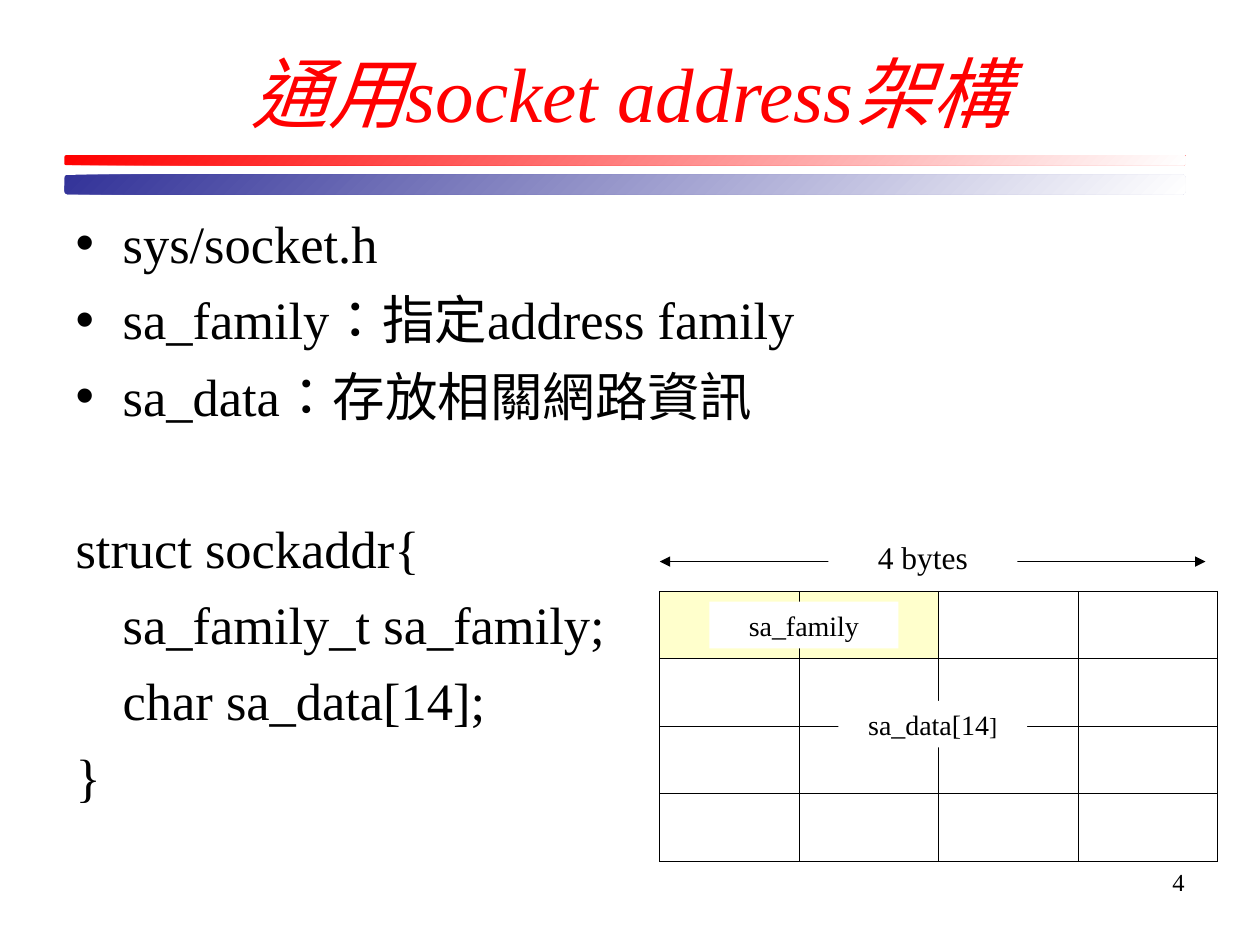
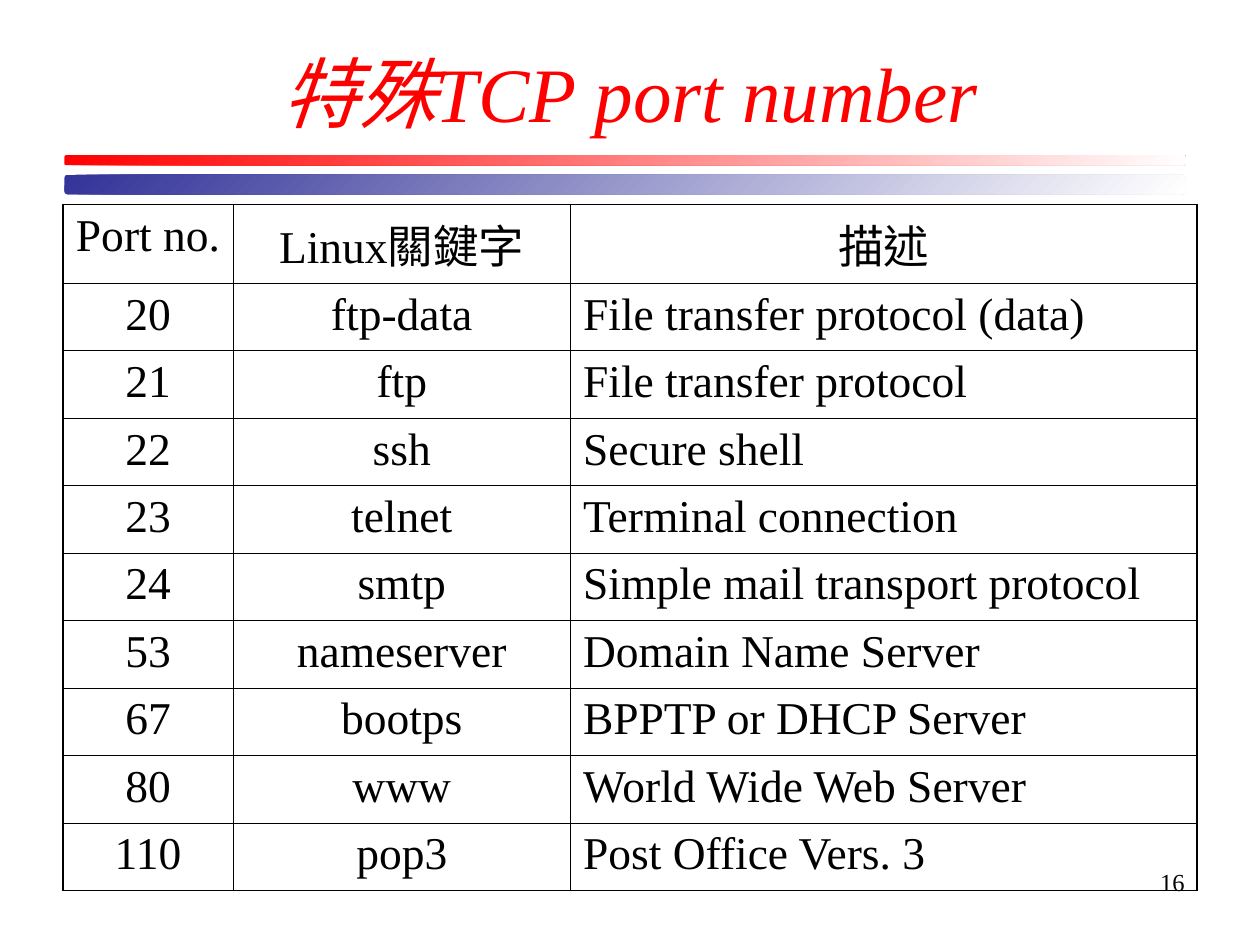
import pptx
import pptx.dml.color
import pptx.enum.shapes
import pptx.enum.text
import pptx.oxml
import pptx.oxml.ns
import pptx.util

Cm = pptx.util.Cm
Pt = pptx.util.Pt
RGBColor = pptx.dml.color.RGBColor
ALIGN = pptx.enum.text.PP_ALIGN
ANCHOR = pptx.enum.text.MSO_ANCHOR
SHAPE = pptx.enum.shapes.MSO_SHAPE

FONT = "Times New Roman"
LANGUAGE = "zh-TW"
RED = RGBColor(0xFF, 0x00, 0x00)
BLUE = RGBColor(0x33, 0x33, 0x99)
BLACK = RGBColor(0x00, 0x00, 0x00)
WHITE = RGBColor(0xFF, 0xFF, 0xFF)
CREAM = RGBColor(0xFF, 0xFF, 0xCC)

TITLE_BOX = (1.27, 0.76, 22.86, 2.16)
BODY_BOX = (1.27, 4.11, 22.86, 12.9)
NUMBER_BOX = (18.21, 17.35, 5.92, 1.32)
INDENT = 0.95
LINE_GAP = 7.5
BLANK_LINE = 36 + LINE_GAP
THIN, THICK = 0.45, 1.08

BULLETS = ["sys/socket.h", "sa_family：指定address family", "sa_data：存放相關網路資訊"]
# Each code line with its indent in steps
CODE = [("struct sockaddr{", 0), ("sa_family_t sa_family;", 1),
        ("char sa_data[14];", 1), ("}", 0)]
PORTS = [
    ("Port no.", "Linux關鍵字", "描述"),
    ("20", "ftp-data", "File transfer protocol (data)"),
    ("21", "ftp", "File transfer protocol"),
    ("22", "ssh", "Secure shell"),
    ("23", "telnet", "Terminal connection"),
    ("24", "smtp", "Simple mail transport protocol"),
    ("53", "nameserver", "Domain Name Server"),
    ("67", "bootps", "BPPTP or DHCP Server"),
    ("80", "www", "World Wide Web Server"),
    ("110", "pop3", "Post Office Vers. 3"),
]


def to_cm(box):
    return [Cm(length) for length in box]


def place(shape, box):
    shape.left, shape.top, shape.width, shape.height = to_cm(box)


def add_xml(parent, tag, index=None, **attributes):
    element = pptx.oxml.parse_xml(f"<a:{tag} {pptx.oxml.ns.nsdecls('a')}/>")
    for name, value in attributes.items():
        element.set(name, str(value))
    parent.insert(len(parent) if index is None else index, element)
    return element


def style_paragraph(paragraph, size, color=BLACK, align=ALIGN.LEFT):
    paragraph.alignment = align
    paragraph.font.name = FONT
    paragraph.font.size = Pt(size)
    paragraph.font.color.rgb = color
    for run in paragraph.runs:
        run._r.get_or_add_rPr().set("lang", LANGUAGE)


# Shared parts

def add_master_band(presentation, slide, top, height, color, shape_id):
    band = slide.shapes.add_shape(
        SHAPE.ROUNDED_RECTANGLE, *to_cm((1.3, top, 22.6, height)))
    band.shadow.inherit = False
    band.line.fill.background()
    band.fill.gradient()
    band.fill.gradient_angle = 315
    for stop, stop_color in zip(band.fill.gradient_stops, (color, WHITE)):
        stop.color.rgb = stop_color
    band.element.nvSpPr.cNvPr.set("id", str(shape_id))
    presentation.slide_master.shapes.element.append(band.element)


def add_slide(presentation, layout_index, title_text, number):
    slide = presentation.slides.add_slide(presentation.slide_layouts[layout_index])
    title = slide.shapes.title
    place(title, TITLE_BOX)
    title.text_frame.text = title_text
    title.text_frame.vertical_anchor = ANCHOR.MIDDLE
    title.text_frame.auto_size = pptx.enum.text.MSO_AUTO_SIZE.NONE
    paragraph = title.text_frame.paragraphs[0]
    style_paragraph(paragraph, 44, RED, ALIGN.CENTER)
    paragraph.font.italic = True

    number_box = slide.shapes.add_textbox(*to_cm(NUMBER_BOX))
    number_box.text_frame.word_wrap = True
    number_box.text_frame.text = number
    style_paragraph(number_box.text_frame.paragraphs[0], 14, align=ALIGN.RIGHT)
    return slide


# Body list

def add_body_line(paragraph, text, left, hanging, bullet, space_before):
    paragraph.text = text
    paragraph.space_before = Pt(space_before)
    properties = paragraph._p.get_or_add_pPr()
    properties.set("marL", str(Cm(left)))
    properties.set("indent", str(-Cm(hanging)))
    if bullet:
        add_xml(properties, "buChar", char="•")
    else:
        add_xml(properties, "buNone")
    style_paragraph(paragraph, 30)


def fill_body(body):
    place(body, BODY_BOX)
    frame = body.text_frame
    frame.auto_size = pptx.enum.text.MSO_AUTO_SIZE.NONE
    frame.margin_top = Cm(0.15)
    for index, text in enumerate(BULLETS):
        paragraph = frame.add_paragraph() if index else frame.paragraphs[0]
        add_body_line(paragraph, text, INDENT, INDENT, True, LINE_GAP if index else 0)
    for index, (text, level) in enumerate(CODE):
        gap = LINE_GAP if index else BLANK_LINE + LINE_GAP
        add_body_line(frame.add_paragraph(), text, level * INDENT, 0, False, gap)


# Tables

def set_borders(cell, widths):
    properties = cell._tc.get_or_add_tcPr()
    for index, (side, width) in enumerate(zip("LRTB", widths)):
        line = add_xml(properties, f"ln{side}", index, w=int(Pt(width)))
        add_xml(add_xml(line, "solidFill"), "srgbClr", val=BLACK)


def add_grid(slide, left, top, column_widths, row_heights, edge):
    """Add an unfilled table; edge is the width of its left, right and top lines."""
    column_count = len(column_widths)
    table = slide.shapes.add_table(
        len(row_heights), column_count,
        *to_cm((left, top, sum(column_widths), sum(row_heights)))).table
    table.first_row = table.horz_banding = False
    for column, width in zip(table.columns, column_widths):
        column.width = Cm(width)
    for row_index, (row, height) in enumerate(zip(table.rows, row_heights)):
        row.height = Cm(height)
        for column_index, cell in enumerate(row.cells):
            cell.fill.background()
            set_borders(cell, (edge if column_index == 0 else THIN,
                               edge if column_index == column_count - 1 else THIN,
                               edge if row_index == 0 else THIN, THIN))
    return table


def fill_port_table(table):
    for row_index, port in enumerate(PORTS):
        for column_index, text in enumerate(port):
            cell = table.cell(row_index, column_index)
            cell.text = text
            is_description = row_index > 0 and column_index == 2
            style_paragraph(cell.text_frame.paragraphs[0], 26,
                            align=ALIGN.LEFT if is_description else ALIGN.CENTER)


# Diagram

def add_label(slide, left, top, height, size, *texts):
    label = slide.shapes.add_shape(SHAPE.RECTANGLE, *to_cm((left, top, 3.81, height)))
    label.shadow.inherit = False
    label.fill.solid()
    label.fill.fore_color.rgb = WHITE
    label.line.fill.background()
    label.text_frame.vertical_anchor = ANCHOR.MIDDLE
    paragraph = label.text_frame.paragraphs[0]
    for text in texts:
        paragraph.add_run().text = text
    style_paragraph(paragraph, size, align=ALIGN.CENTER)
    return paragraph


def add_double_arrow(slide, left, right, y):
    arrow = slide.shapes.add_connector(
        pptx.enum.shapes.MSO_CONNECTOR.STRAIGHT, *to_cm((left, y, right, y)))
    arrow.line.color.rgb = BLACK
    arrow.line.width = Pt(0.75)
    line = arrow.line._get_or_add_ln()
    for end in ("headEnd", "tailEnd"):
        add_xml(line, end, type="triangle")
    add_xml(arrow.element.spPr, "effectLst")


def add_address_diagram(slide):
    table = add_grid(slide, 13.3, 11.92, [2.81] * 4, [1.36] * 4, THIN)
    for column_index in range(2):
        fill = table.cell(0, column_index).fill
        fill.solid()
        fill.fore_color.rgb = CREAM
    add_double_arrow(slide, 13.3, 24.3, 11.32)
    add_label(slide, 16.7, 10.72, 1.02, 18, "4 bytes")
    add_label(slide, 14.3, 12.13, 0.94, 16, "sa_family")
    data_label = add_label(slide, 16.9, 14.13, 0.94, 16, "sa_data[14", "]")
    data_label.runs[1].font.size = Pt(14)


def main():
    presentation = pptx.Presentation()
    presentation.slide_width = Cm(25.4)
    presentation.slide_height = Cm(19.05)

    # Socket address structure
    address_slide = add_slide(presentation, 1, "通用socket address架構", "4")
    add_master_band(presentation, address_slide, 3.13, 0.2, RED, 101)
    add_master_band(presentation, address_slide, 3.52, 0.4, BLUE, 102)
    fill_body(address_slide.placeholders[1])
    add_address_diagram(address_slide)

    # Well-known ports, with a taller heading row
    port_slide = add_slide(presentation, 5, "特殊TCP port number", "16")
    row_heights = [1.59] + [1.36] * (len(PORTS) - 1)
    fill_port_table(add_grid(port_slide, 1.27, 4.12, [3.43, 6.8, 12.63],
                             row_heights, THICK))

    presentation.save("out.pptx")


if __name__ == "__main__":
    main()
